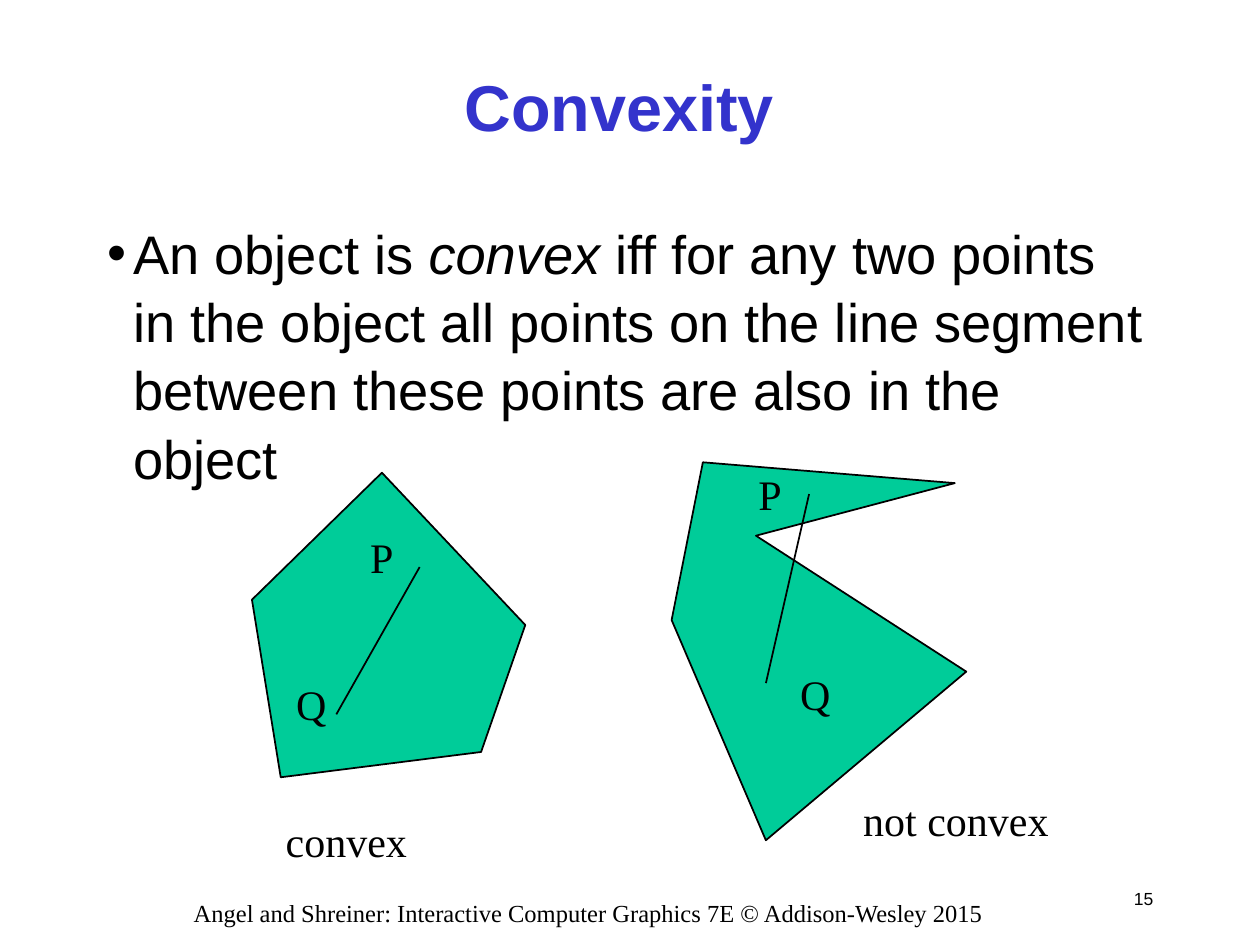
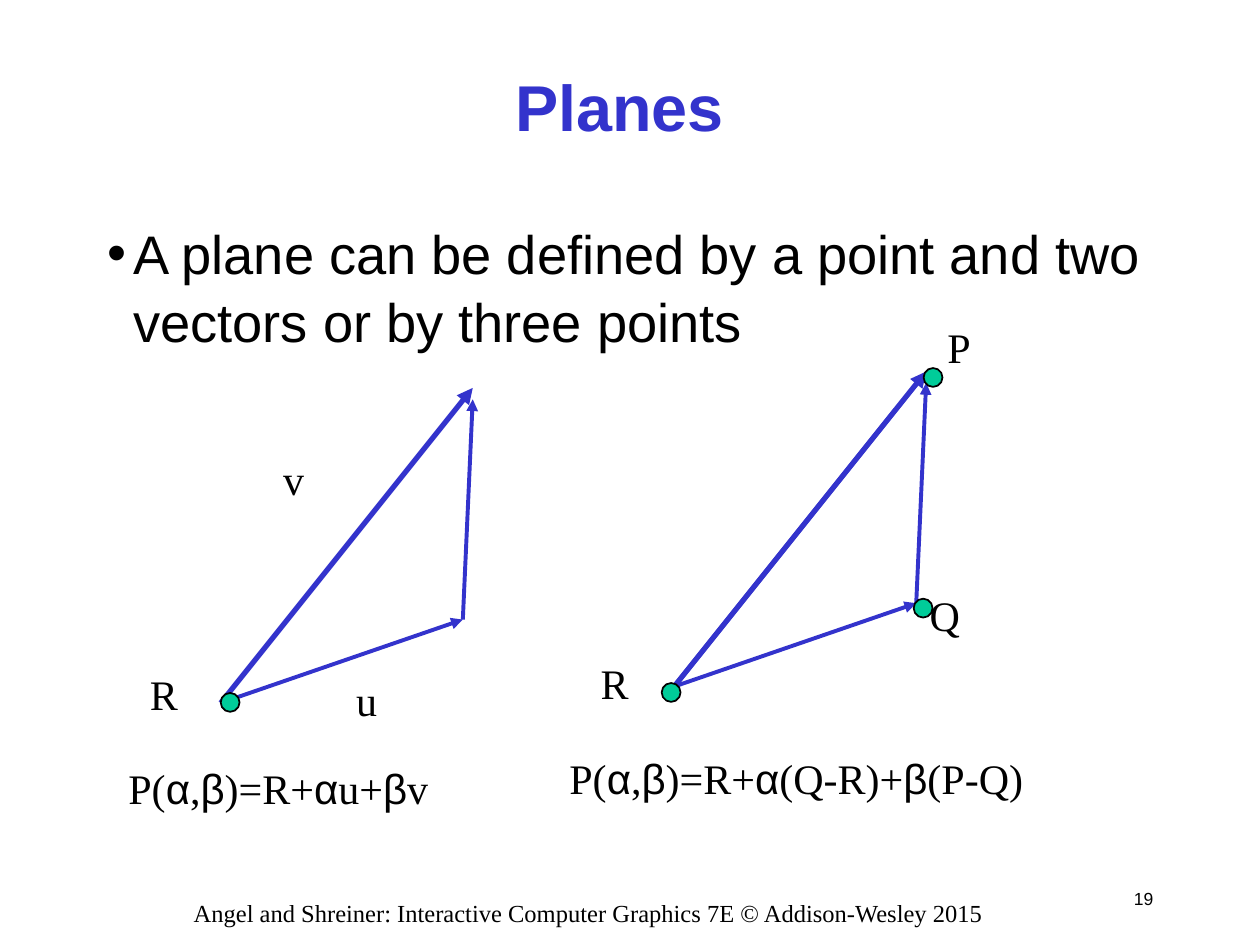
"""Build two geometry slides: convexity and planes."""
from itertools import groupby
from typing import NamedTuple

from lxml import etree
from pptx import Presentation
from pptx.dml.color import RGBColor
from pptx.enum.shapes import MSO_CONNECTOR, MSO_SHAPE
from pptx.enum.text import MSO_ANCHOR, MSO_AUTO_SIZE, PP_ALIGN
from pptx.oxml.ns import qn
from pptx.util import Cm, Pt

STRAIGHT = MSO_CONNECTOR.STRAIGHT
ELLIPSE = MSO_SHAPE.OVAL
MIDDLE, TOP = MSO_ANCHOR.MIDDLE, MSO_ANCHOR.TOP
NO_AUTOFIT = MSO_AUTO_SIZE.NONE
LEFT, CENTER, RIGHT = PP_ALIGN.LEFT, PP_ALIGN.CENTER, PP_ALIGN.RIGHT

BLACK = RGBColor(0x00, 0x00, 0x00)
BLUE = RGBColor(0x33, 0x33, 0xCC)
GREEN = RGBColor(0x00, 0xCC, 0x99)
SANS, SERIF = "Arial", "Times New Roman"
GREEK = "αβ"
FOOTER = "Angel and Shreiner: Interactive Computer Graphics 7E © Addison-Wesley 2015"
TITLE_ONLY = 5
DOT_SIZE = 0.38
LABEL_HEIGHT = 1.27


class Point(NamedTuple):
    """A position in centimetres."""
    x: float
    y: float

    def shifted(self, x: float, y: float) -> "Point":
        """Return the point moved by an offset."""
        return Point(self.x + x, self.y + y)


class Area(NamedTuple):
    """A rectangle in centimetres."""
    left: float
    top: float
    width: float
    height: float


class Span(NamedTuple):
    """A piece of text with its own font or slant."""
    text: str
    font: str | None = None
    italic: bool = False


class Label(NamedTuple):
    """A serif label beside a figure."""
    text: str
    left: float
    top: float
    width: float


TITLE_AREA = Area(3.81, 0.64, 17.35, 2.97)
BODY_AREA = Area(1.91, 4.24, 21.59, 13.13)
NUMBER_AREA = Area(22.43, 17.58, 1.07, 1.07)
FOOTER_AREA = Area(2.34, 17.98, 19.05, 0.64)

CONVEX = [Point(5.08, 12.09), Point(7.7, 9.53), Point(10.59, 12.6),
          Point(9.7, 15.16), Point(5.66, 15.67)]
NOT_CONVEX = [Point(13.54, 12.5), Point(14.17, 9.32), Point(19.25, 9.74),
              Point(15.24, 10.8), Point(19.48, 13.54), Point(15.44, 16.94)]
SEGMENTS = [(Point(6.78, 14.4), Point(8.46, 11.43)),
            (Point(16.31, 9.96), Point(15.44, 13.77))]
CONVEXITY_LABELS = [
    Label("P", 7.21, 10.59, 0.97), Label("Q", 5.72, 13.54, 1.12),
    Label("Q", 15.88, 13.34, 1.12), Label("P", 15.04, 9.32, 0.97),
    Label("convex", 5.51, 16.31, 2.95), Label("not convex", 17.15, 15.88, 4.24),
]

VECTOR_ORIGINS = [Point(4.45, 14.17), Point(13.59, 13.84)]
DOTS = [Point(13.34, 13.77), Point(4.45, 13.97), Point(18.42, 12.07), Point(18.62, 7.42)]
PLANE_LABELS = [
    Label("P(α,β)=R+αu+βv", 2.34, 15.24, 6.58),
    Label("P(α,β)=R+α(Q-R)+β(P-Q)", 11.23, 15.04, 9.7),
    Label("u", 6.93, 13.46, 0.91), Label("v", 5.46, 9.02, 0.91),
    Label("R", 2.77, 13.34, 1.07), Label("P", 18.85, 6.35, 0.97),
    Label("R", 11.86, 13.13, 1.07), Label("Q", 18.49, 11.76, 1.12),
]


def write(box, spans: list[Span], *, size: float, font: str = SANS,
          color: RGBColor = BLACK, bold: bool = False, align=LEFT, anchor=TOP,
          wrap: bool = True, bullet: bool = False) -> None:
    """Fill a box with one formatted paragraph."""
    frame = box.text_frame
    frame.auto_size = NO_AUTOFIT
    frame.word_wrap = wrap
    frame.vertical_anchor = anchor
    frame.margin_left = frame.margin_right = Cm(0.25)
    frame.margin_top = frame.margin_bottom = Cm(0.13)
    para = frame.paragraphs[0]
    if bullet:
        add_bullet(para)
    para.alignment = align
    for piece in spans:
        span = para.add_run()
        span.text = piece.text
        span.font.name = piece.font or font
        span.font.size = Pt(size)
        span.font.bold = bold
        span.font.italic = piece.italic
        span.font.color.rgb = color


def add_bullet(para) -> None:
    """Give a paragraph a hanging black bullet."""
    properties = para._p.get_or_add_pPr()
    properties.set("marL", str(Cm(0.53)))
    properties.set("indent", str(Cm(-0.53)))
    bullet_color = etree.SubElement(properties, qn("a:buClr"))
    etree.SubElement(bullet_color, qn("a:srgbClr"), val=str(BLACK))
    etree.SubElement(properties, qn("a:buFont"), typeface=SANS)
    etree.SubElement(properties, qn("a:buChar"), char="•")
    para.line_spacing = 1.05


def add_box(page, area: Area):
    """Add an empty text box."""
    return page.shapes.add_textbox(*map(Cm, area))


def add_label(page, label: Label) -> None:
    """Add a label, with Greek letters in the sans font."""
    box = add_box(page, Area(label.left, label.top, label.width, LABEL_HEIGHT))
    spans = [Span("".join(letters), SANS if greek else SERIF)
             for greek, letters in groupby(label.text, lambda letter: letter in GREEK)]
    write(box, spans, size=24, wrap=False)


def paint(shape) -> None:
    """Give a shape the green fill and thin black outline."""
    shape.shadow.inherit = False
    shape.fill.solid()
    shape.fill.fore_color.rgb = GREEN
    shape.line.color.rgb = BLACK
    shape.line.width = Pt(1)


def add_polygon(page, corners: list[Point]) -> None:
    """Draw a closed polygon."""
    start, *others = [tuple(map(Cm, corner)) for corner in corners]
    builder = page.shapes.build_freeform(*start)
    builder.add_line_segments(others, close=True)
    paint(builder.convert_to_shape())


def add_line(page, start: Point, end: Point, *, color: RGBColor = BLACK,
             width: float = 1, arrow: bool = False) -> None:
    """Draw a straight line, with an arrowhead if asked."""
    line = page.shapes.add_connector(STRAIGHT, *map(Cm, start + end))
    line.line.color.rgb = color
    line.line.width = Pt(width)
    properties = line._element.spPr
    if arrow:
        etree.SubElement(properties.find(qn("a:ln")), qn("a:tailEnd"), type="triangle")
    etree.SubElement(properties, qn("a:effectLst"))


def add_vectors(page, origin: Point) -> None:
    """Draw the triangle of arrows that spans a plane."""
    corner = origin.shifted(4.88, -1.68)
    arrows = [(origin, origin.shifted(5.08, -6.35), 3),
              (origin, corner, 2.25),
              (corner, origin.shifted(5.08, -6.12), 2.25)]
    for start, end, width in arrows:
        add_line(page, start, end, color=BLUE, width=width, arrow=True)


def add_page(deck, title: str, number: int, body: list[Span]):
    """Add a slide with its title, bullet, number and footer."""
    page = deck.slides.add_slide(deck.slide_layouts[TITLE_ONLY])
    heading = page.shapes.title
    heading.left, heading.top, heading.width, heading.height = map(Cm, TITLE_AREA)
    write(heading, [Span(title)], size=37, color=BLUE, bold=True,
          align=CENTER, anchor=MIDDLE)
    write(add_box(page, BODY_AREA), body, size=31, bullet=True)
    write(add_box(page, NUMBER_AREA), [Span(str(number))], size=10,
          align=RIGHT, anchor=MIDDLE)
    write(add_box(page, FOOTER_AREA), [Span(FOOTER)], size=14, font=SERIF, align=CENTER)
    return page


def add_convexity(deck) -> None:
    """Build the convexity slide."""
    page = add_page(deck, "Convexity", 15, [
        Span("An object is "),
        Span("convex", italic=True),
        Span(" iff for any two points in the object all points on the line "
             "segment between these points are also in the object"),
    ])
    for corners in (CONVEX, NOT_CONVEX):
        add_polygon(page, corners)
    for start, end in SEGMENTS:
        add_line(page, start, end)
    for label in CONVEXITY_LABELS:
        add_label(page, label)


def add_planes(deck) -> None:
    """Build the planes slide."""
    page = add_page(deck, "Planes", 19, [
        Span("A plane can be defined by a point and two vectors or by three points"),
    ])
    for origin in VECTOR_ORIGINS:
        add_vectors(page, origin)
    for label in PLANE_LABELS:
        add_label(page, label)
    for dot in DOTS:
        paint(page.shapes.add_shape(ELLIPSE, *map(Cm, dot + (DOT_SIZE, DOT_SIZE))))


def main() -> None:
    """Build and save the deck."""
    deck = Presentation()
    deck.slide_width, deck.slide_height = Cm(25.4), Cm(19.05)
    add_convexity(deck)
    add_planes(deck)
    deck.save("out.pptx")


if __name__ == "__main__":
    main()
